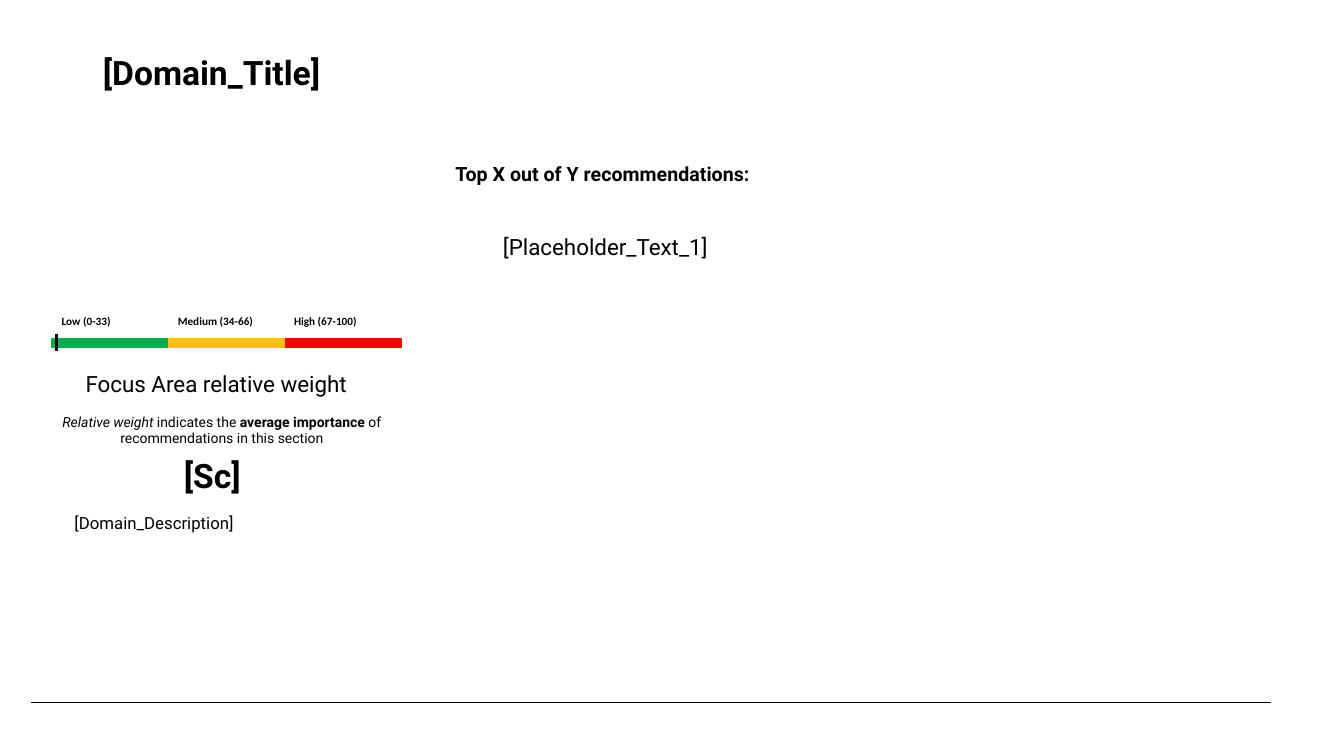
from dataclasses import dataclass

from lxml.etree import SubElement
from pptx import Presentation
from pptx.dml.color import RGBColor
from pptx.enum.shapes import MSO_CONNECTOR, MSO_SHAPE
from pptx.enum.text import MSO_ANCHOR, MSO_AUTO_SIZE, PP_ALIGN
from pptx.oxml.ns import qn
from pptx.util import Inches, Pt


@dataclass(frozen=True)
class Theme:
    font: str = "Roboto"
    label_font: str = "Calibri"
    ink: str = "000000"
    low: str = "00B050"
    medium: str = "FFC000"
    high: str = "FF0000"
    title: int = 24
    lead: int = 16
    heading: int = 14
    body: int = 12
    note: int = 10
    label: int = 8


def write(paragraph, text, *, font, size, color, bold=False, italic=False):
    run = paragraph.add_run()
    run.text = text
    run.font.name = font
    run.font.size = Pt(size)
    run.font.bold = bold
    run.font.italic = italic
    run.font.color.rgb = RGBColor.from_string(color)


class SlideBuilder:
    def __init__(self, presentation, theme):
        self.theme = theme
        self.width = presentation.slide_width
        self.height = presentation.slide_height
        self.slide = presentation.slides.add_slide(presentation.slide_layouts[5])

    def across(self, percent):
        return round(self.width * percent / 100)

    def down(self, percent):
        return round(self.height * percent / 100)

    def box(self, left, top, width, height):
        return self.across(left), self.down(top), self.across(width), self.down(height)

    def fill_frame(self, frame, runs, size, align, auto_size):
        frame.word_wrap = True
        frame.auto_size = auto_size
        frame.vertical_anchor = MSO_ANCHOR.TOP
        paragraph = frame.paragraphs[0]
        paragraph.alignment = align
        for text, style in runs:
            write(paragraph, text, font=self.theme.font, size=size,
                  color=self.theme.ink, **style)

    def title(self, text, area):
        shape = self.slide.shapes.title
        shape.left, shape.top, shape.width, shape.height = self.box(*area)
        self.fill_frame(shape.text_frame, [(text, {"bold": True})], self.theme.title,
                        PP_ALIGN.LEFT, MSO_AUTO_SIZE.NONE)

    def text(self, runs, area, size, align=PP_ALIGN.LEFT):
        shape = self.slide.shapes.add_textbox(*self.box(*area))
        self.fill_frame(shape.text_frame, runs, size, align,
                        MSO_AUTO_SIZE.SHAPE_TO_FIT_TEXT)

    def bar(self, area, color):
        shape = self.slide.shapes.add_shape(MSO_SHAPE.RECTANGLE, *self.box(*area))
        shape.shadow.inherit = False
        shape.fill.solid()
        shape.fill.fore_color.rgb = RGBColor.from_string(color)
        shape.line.color.rgb = RGBColor.from_string(color)
        shape.line.width = Pt(1)

    def line(self, start, end, weight):
        connector = self.slide.shapes.add_connector(
            MSO_CONNECTOR.STRAIGHT, self.across(start[0]), self.down(start[1]),
            self.across(end[0]), self.down(end[1]))
        connector.line.color.rgb = RGBColor.from_string(self.theme.ink)
        connector.line.width = Pt(weight)
        SubElement(connector._element.spPr, qn("a:effectLst"))

    def label_row(self, labels, area):
        table = self.slide.shapes.add_table(1, len(labels), *self.box(*area)).table
        table.first_row = False
        table.horz_banding = False
        for cell, label in zip(table.rows[0].cells, labels):
            cell.fill.background()
            write(cell.text_frame.paragraphs[0], label, font=self.theme.label_font,
                  size=self.theme.label, color=self.theme.ink, bold=True)


def main():
    presentation = Presentation()
    presentation.slide_width = Inches(13.33)
    presentation.slide_height = Inches(7.5)
    theme = Theme()
    builder = SlideBuilder(presentation, theme)

    builder.title("[Domain_Title]", (6.9, 6.13, 82.95, 14.8))
    builder.text([("Focus Area relative weight", {})], (4.2, 48.27, 23.78, 4.93),
                 theme.lead, PP_ALIGN.CENTER)
    builder.text([("[Sc]", {"bold": True})], (11.33, 59.47, 8.93, 6.67),
                 theme.title, PP_ALIGN.CENTER)
    builder.text([("[Domain_Description]", {})], (4.8, 67.2, 25.65, 4),
                 theme.body, PP_ALIGN.JUSTIFY)
    builder.line((2.33, 92.93), (94.6, 92.93), 0.5)
    builder.text([("Top X out of Y recommendations:", {"bold": True})],
                 (33.15, 20.8, 50.4, 4.53), theme.heading)
    builder.text([("[Placeholder_Text_1]", {})], (36.68, 30.13, 57.75, 4.93), theme.lead)

    scale_left, scale_step = 3.83, 8.7
    levels = [("Low (0-33)", theme.low), ("Medium (34-66)", theme.medium),
              ("High (67-100)", theme.high)]
    for index, (label, color) in enumerate(levels):
        builder.bar((scale_left + index * scale_step, 44.75, 8.63, 1.2), color)
    builder.line((4.2, 44), (4.2, 46.4), 2.5)
    builder.label_row([label for label, color in levels], (scale_left, 40.93, 25.95, 2.8))

    builder.text([("Relative weight ", {"italic": True}), ("indicates the ", {}),
                  ("average importance", {"bold": True}),
                  (" of recommendations in this section", {})],
                 (0, 54, 33, 5.87), theme.note, PP_ALIGN.CENTER)

    presentation.save("out.pptx")


if __name__ == "__main__":
    main()
